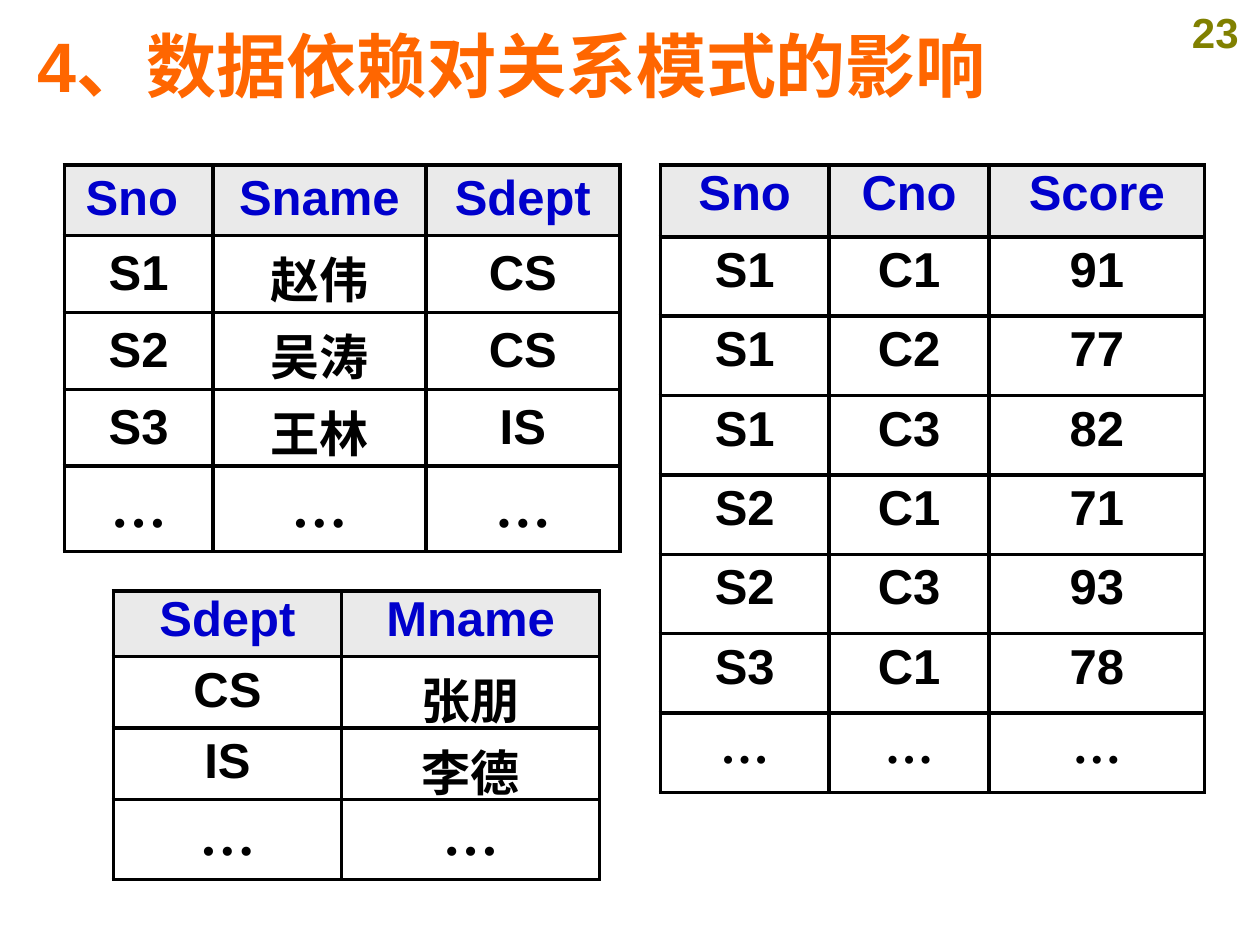
from lxml import etree
from pptx import Presentation
from pptx.dml.color import RGBColor
from pptx.enum.text import MSO_ANCHOR as Anchor, PP_ALIGN as Align
from pptx.oxml.ns import qn
from pptx.util import Inches, Pt


def color(hex_string):
    return RGBColor.from_string(hex_string)


def add_run(paragraph, text, size, hex_string, font_name="Arial"):
    run = paragraph.add_run()
    run.text = text
    run.font.name = font_name
    run.font.size = Pt(size)
    run.font.bold = True
    run.font.color.rgb = color(hex_string)


presentation = Presentation()
presentation.slide_width = Inches(10)
presentation.slide_height = Inches(7.5)
slide = presentation.slides.add_slide(presentation.slide_layouts[5])

# Page number
page_number = slide.shapes.add_textbox(Inches(9.29), Inches(0), Inches(0.71), Inches(0.5))
page_number.text_frame.word_wrap = True
paragraph = page_number.text_frame.paragraphs[0]
paragraph.alignment = Align.CENTER
add_run(paragraph, "23", 24, "808000")

# Tables: position, frame height, column widths, row heights, ellipsis size, anchor, rows
students = [
    ["Sno ", "Sname", "Sdept"],
    ["S1", "赵伟", "CS"],
    ["S2", "吴涛", "CS"],
    ["S3", "王林", "IS"],
    ["…", "…", "…"],
]
departments = [
    ["Sdept", "Mname"],
    ["CS", "张朋"],
    ["IS", "李德"],
    ["…", "…"],
]
scores = [
    ["Sno", "Cno", "Score"],
    ["S1", "C1", "91"],
    ["S1", "C2", "77"],
    ["S1", "C3", "82"],
    ["S2", "C1", "71"],
    ["S2", "C3", "93"],
    ["S3", "C1", "78"],
    ["…", "…", "…"],
]
tables = [
    (0.51, 1.31, 3.07, [1.18, 1.69, 1.54], [0.56] + [0.61] * 3 + [0.68],
     32, Anchor.MIDDLE, students),
    (0.9, 4.69, 2.29, [1.81, 2.05], [0.42, 0.5, 0.46, 0.46],
     32, Anchor.TOP, departments),
    (5.24, 1.31, 4.96, [1.34, 1.27, 1.71], [0.57] + [0.63] * 7,
     28, Anchor.TOP, scores),
]

for left, top, height, widths, heights, ellipsis_size, anchor, rows in tables:
    frame = slide.shapes.add_table(len(rows), len(widths), Inches(left), Inches(top),
                                   Inches(sum(widths)), Inches(height))
    table = frame.table
    for column, width in zip(table.columns, widths):
        column.width = Inches(width)
    for row, row_height in zip(table.rows, heights):
        row.height = Inches(row_height)
    frame.height = Inches(height)

    for row_index, values in enumerate(rows):
        is_header = row_index == 0
        for column_index, value in enumerate(values):
            cell = table.cell(row_index, column_index)
            cell.vertical_anchor = anchor
            paragraph = cell.text_frame.paragraphs[0]
            paragraph.alignment = Align.CENTER
            if is_header:
                paragraph.line_spacing = 0.9
            if value == "…":
                add_run(paragraph, value, ellipsis_size, "000000", "Times New Roman")
            else:
                add_run(paragraph, value, 28, "0000CC" if is_header else "000000")

            # Borders come before the fill in the cell properties
            properties = cell._tc.get_or_add_tcPr()
            for side in ("a:lnL", "a:lnR", "a:lnT", "a:lnB"):
                line = etree.SubElement(properties, qn(side), w=str(Pt(2.25)))
                fill = etree.SubElement(line, qn("a:solidFill"))
                etree.SubElement(fill, qn("a:srgbClr"), val="000000")
            cell.fill.solid()
            cell.fill.fore_color.rgb = color("EAEAEA" if is_header else "FFFFFF")

# Title
title = slide.shapes.title
title.left, title.top = Inches(0.2), Inches(0.13)
title.width, title.height = Inches(9.47), Inches(0.76)
title.text_frame.vertical_anchor = Anchor.MIDDLE
paragraph = title.text_frame.paragraphs[0]
paragraph.alignment = Align.LEFT
add_run(paragraph, "4、数据依赖对关系模式的影响", 40, "FF6600")

presentation.save("out.pptx")
